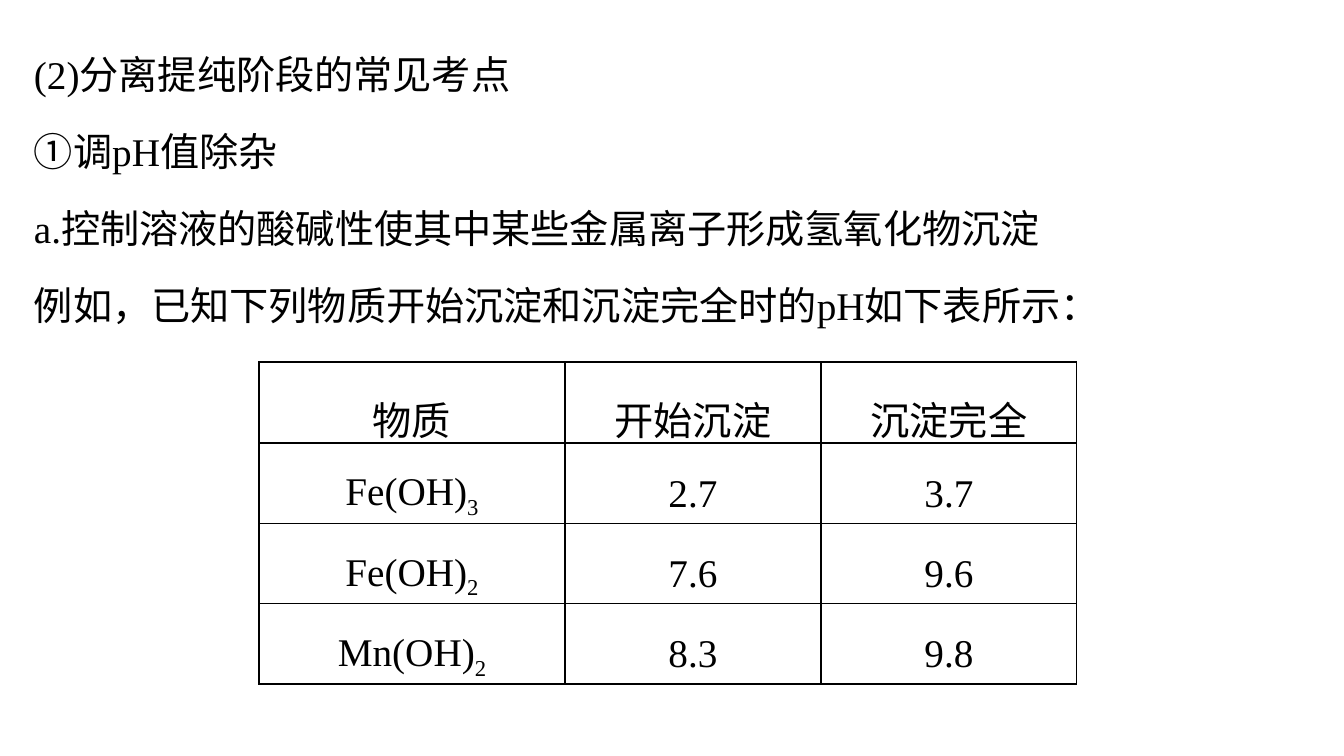
from lxml.etree import SubElement
from pptx import Presentation
from pptx.dml.color import RGBColor
from pptx.enum.text import MSO_ANCHOR, MSO_AUTO_SIZE, PP_ALIGN
from pptx.oxml.ns import qn
from pptx.util import Pt

PX = 914400 / 100.8
COLORS = {"ink": "000000"}
LATIN = "Times New Roman"
CJK = "Noto Sans CJK SC"


def px(n):
    return round(n * PX)


def add_run(p, text, size=28, font=LATIN, color="ink", baseline=0):
    r = p.add_run()
    r.text = text
    r.font.size = Pt(size)
    r.font.color.rgb = RGBColor.from_string(COLORS[color])
    r.font.name = font
    rPr = r._r.get_or_add_rPr()
    SubElement(rPr, qn("a:ea"), typeface=CJK)
    if baseline:
        rPr.set("baseline", str(baseline * 1000))


class Deck:
    def __init__(self, width, height):
        self.prs = Presentation()
        self.prs.slide_width = px(width)
        self.prs.slide_height = px(height)
        self.s = self.prs.slides.add_slide(self.prs.slide_layouts[6])

    def text(self, x, y, w, h, lines, leading):
        tf = self.s.shapes.add_textbox(px(x), px(y), px(w), px(h)).text_frame
        tf.word_wrap = True
        tf.auto_size = MSO_AUTO_SIZE.SHAPE_TO_FIT_TEXT
        tf.margin_left = tf.margin_right = px(13)
        tf.margin_top = tf.margin_bottom = px(7)
        for i, (align, runs) in enumerate(lines):
            p = tf.add_paragraph() if i else tf.paragraphs[0]
            p.alignment = align
            p.line_spacing = Pt(leading)
            for text, font in runs:
                add_run(p, text, font=font)

    def border(self, cell, width=1):
        tcPr = cell._tc.get_or_add_tcPr()
        for side in ("lnL", "lnR", "lnT", "lnB"):
            ln = SubElement(tcPr, qn(f"a:{side}"), w=str(Pt(width)))
            fill = SubElement(ln, qn("a:solidFill"))
            SubElement(fill, qn("a:srgbClr"), val=COLORS["ink"])

    def cell(self, cell, text, subscript=""):
        self.border(cell)
        cell.fill.background()
        cell.vertical_anchor = MSO_ANCHOR.MIDDLE
        cell.margin_left = cell.margin_right = px(5)
        cell.margin_top = cell.margin_bottom = 0
        p = cell.text_frame.paragraphs[0]
        p.alignment = PP_ALIGN.CENTER
        p.line_spacing = 1.5
        add_run(p, text)
        if subscript:
            add_run(p, subscript, baseline=-25)

    def table(self, x, y, widths, heights, rows):
        table = self.s.shapes.add_table(
            len(rows), len(widths), px(x), px(y), px(sum(widths)), px(sum(heights))
        ).table
        table.first_row = table.horz_banding = False
        for col, w in zip(table.columns, widths):
            col.width = px(w)
        for row, h, values in zip(table.rows, heights, rows):
            row.height = px(h)
            for cell, value in zip(row.cells, values):
                self.cell(cell, *value)


def main():
    deck = Deck(1344, 756)
    just = PP_ALIGN.JUSTIFY
    deck.text(21, 13, 1293, 313, [
        (just, [("(2)分离提纯阶段的常见考点", LATIN)]),
        (just, [("①", CJK), ("调pH值除杂", LATIN)]),
        (just, [("a.控制溶液的酸碱性使其中某些金属离子形成氢氧化物沉淀", LATIN)]),
        (PP_ALIGN.LEFT, [("例如，已知下列物质开始沉淀和沉淀完全时的pH如下表所示：", LATIN)]),
    ], leading=55)
    deck.table(259, 362, [306, 256, 256], [81, 79, 79, 79], [
        [("物质",), ("开始沉淀",), ("沉淀完全",)],
        [("Fe(OH)", "3"), ("2.7",), ("3.7",)],
        [("Fe(OH)", "2"), ("7.6",), ("9.6",)],
        [("Mn(OH)", "2"), ("8.3",), ("9.8",)],
    ])
    deck.prs.save("out.pptx")


if __name__ == "__main__":
    main()
